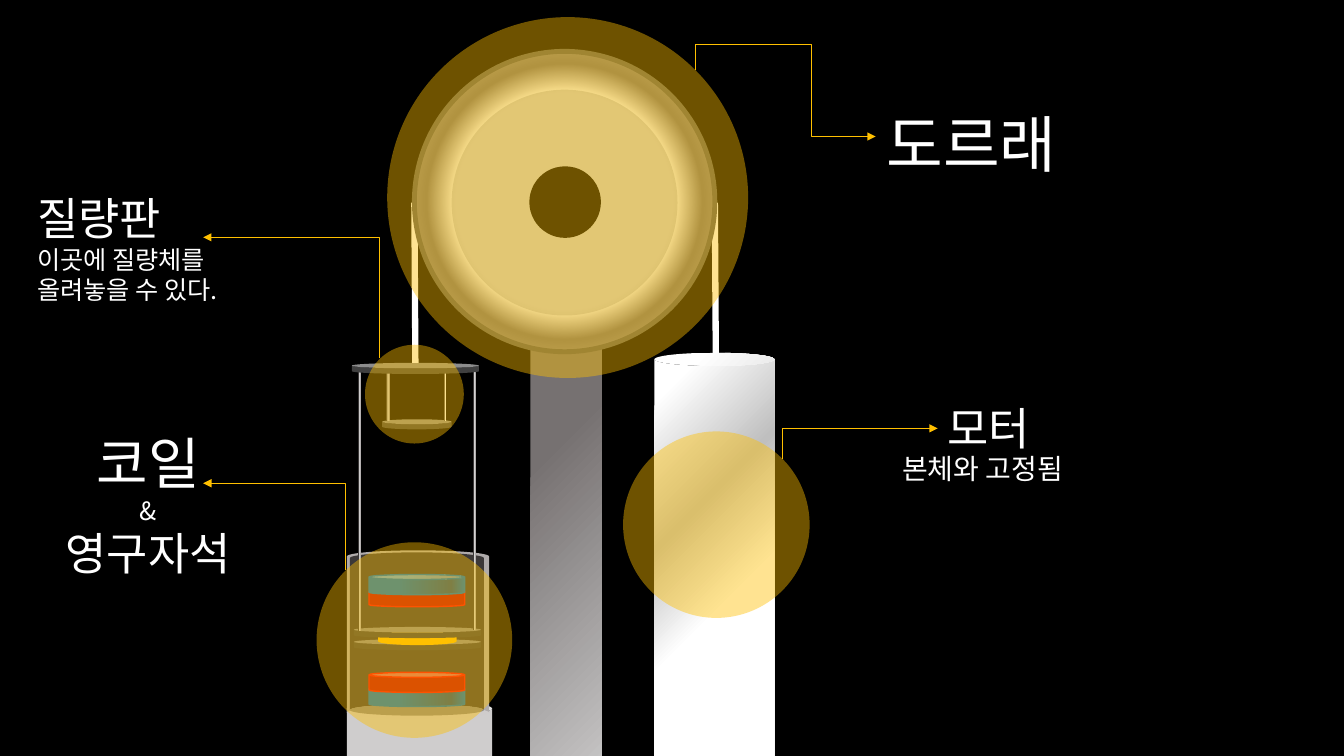
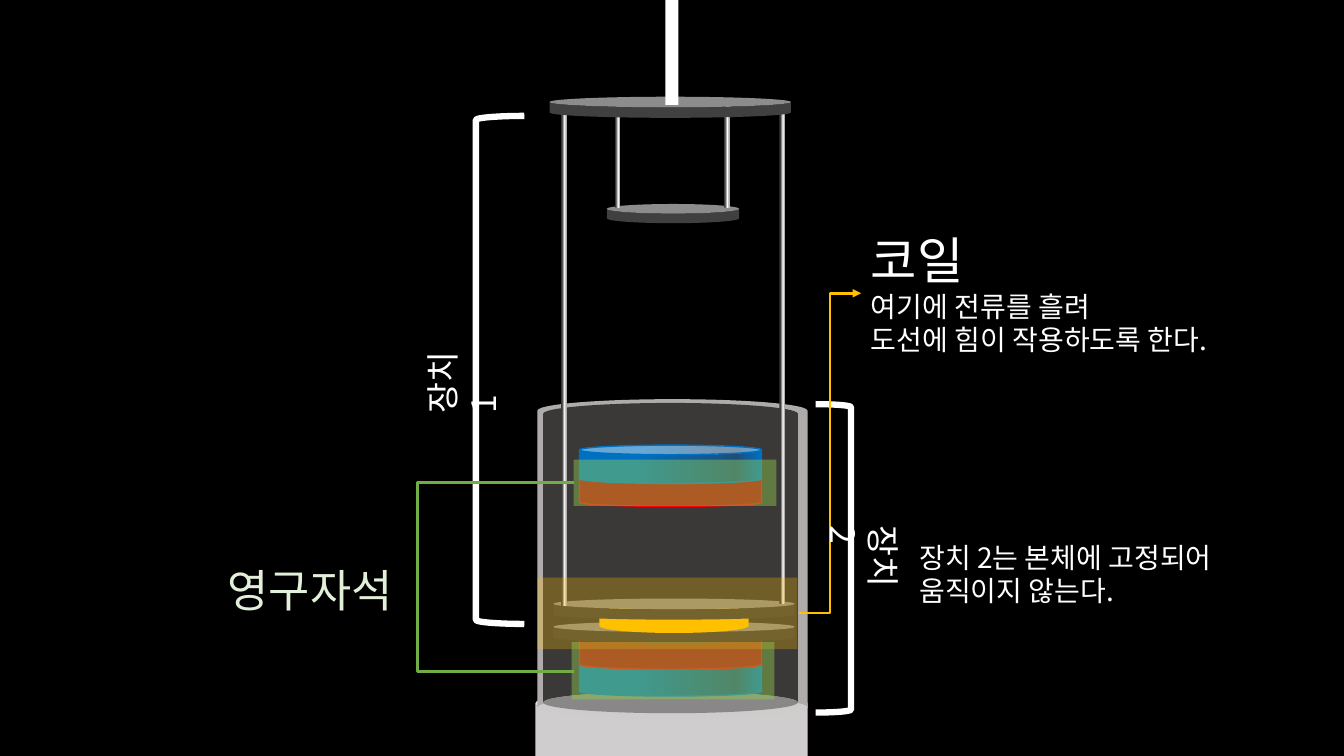
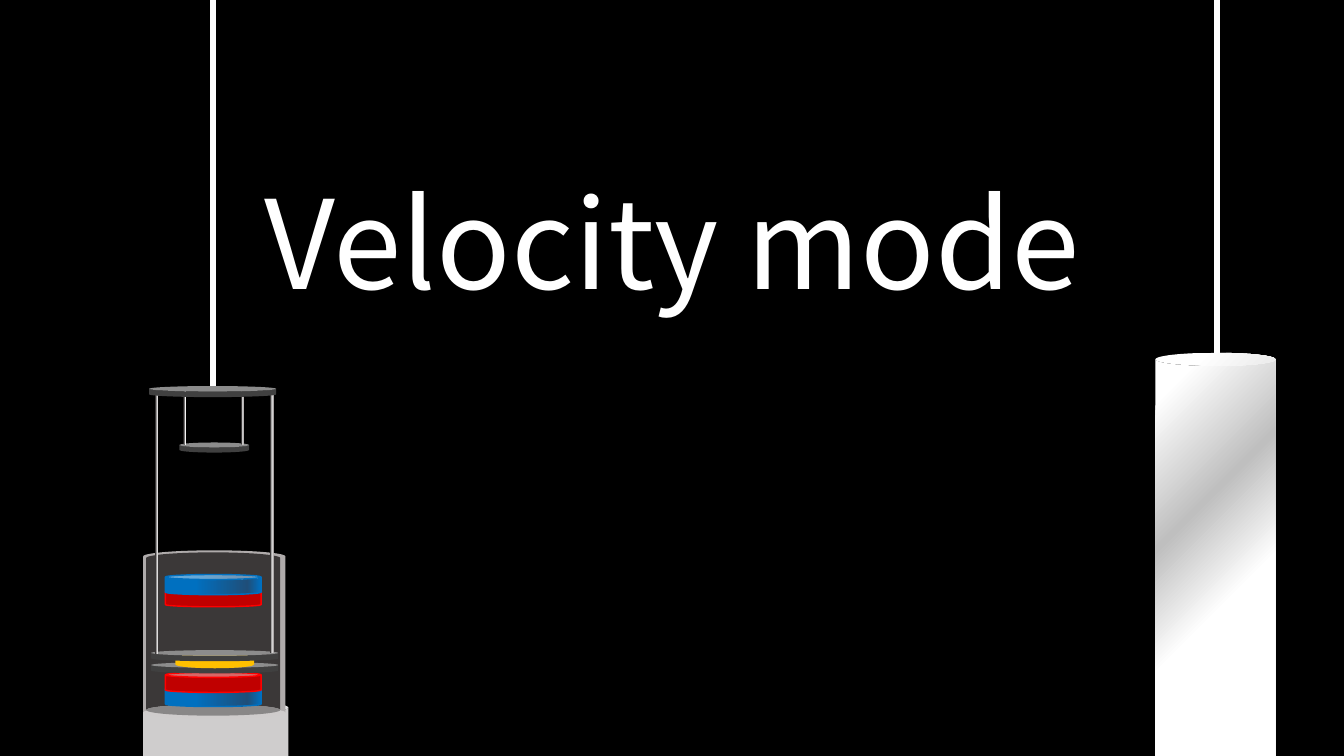
from pptx import Presentation
from pptx.dml.color import RGBColor
from pptx.enum import shapes as sh, text as tx
from pptx.oxml import parse_xml
from pptx.oxml.ns import qn
from pptx.util import Inches, Pt
from lxml import etree

FONT = "Noto Sans CJK KR"
NS = 'xmlns:a="http://schemas.openxmlformats.org/drawingml/2006/main"'
COLORS = {
    "black": "000000", "white": "FFFFFF", "gold": "FFC000", "body": "CFCDCD",
    "wall": "AFABAB", "inside": "3B3838", "plate": "404040", "silver": "BFBFBF",
    "light": "D9D9D9", "grey": "767171", "rim": "595959", "red": "C00000",
    "bright red": "FF0000", "blue": "0070C0", "navy": "1F4E79",
    "lime": "92D050", "green": "70AD47", "mint": "E2F0D9",
}
# Gradients: stops as (percent, colour), then the angle or None for a radial one
GRADIENTS = {
    "north": ([(31, "blue"), (86, "navy"), (100, "blue")], 0),
    "rod": ([(20, "inside"), (64, "white"), (88, "wall")], 0),
    "motor": ([(9, "white"), (37, "silver"), (60, "white")], 45),
    "pillar": ([(23, "grey"), (100, "light")], 45),
    "pulley": ([(51, "white"), (65, "grey"), (100, "light")], None),
}
KIND = sh.MSO_SHAPE
LEFT, CENTER = tx.PP_ALIGN.LEFT, tx.PP_ALIGN.CENTER


def part(slide, kind, box, fill=None, line=None, adj=None, alpha=None, flip=None):
    """Add a preset shape; fill is a colour or gradient name, line is (colour, points)."""
    shape = slide.shapes.add_shape(kind, *[Inches(v) for v in box])
    shape.shadow.inherit = False
    if adj is not None:
        shape.adjustments[0] = adj
    if flip:
        shape._element.spPr.find(qn("a:xfrm")).set(flip, "1")
    if fill in COLORS:
        shape.fill.solid()
        shape.fill.fore_color.rgb = RGBColor.from_string(COLORS[fill])
        if alpha:
            color = shape._element.spPr.find(qn("a:solidFill"))[0]
            etree.SubElement(color, qn("a:alpha")).set("val", str(alpha * 1000))
    else:
        shape.fill.background()
    if fill in GRADIENTS:
        stops, angle = GRADIENTS[fill]
        stop_xml = "".join(f'<a:gs pos="{pos * 1000}"><a:srgbClr val="{COLORS[c]}"/></a:gs>'
                           for pos, c in stops)
        if angle is None:
            course = ('<a:path path="circle"><a:fillToRect l="50000" t="50000" '
                      'r="50000" b="50000"/></a:path>')
        else:
            course = f'<a:lin ang="{angle * 60000}" scaled="0"/>'
        props = shape._element.spPr
        props.replace(props.find(qn("a:noFill")), parse_xml(
            f'<a:gradFill {NS} rotWithShape="1"><a:gsLst>{stop_xml}</a:gsLst>{course}</a:gradFill>'))
    if line:
        shape.line.color.rgb = RGBColor.from_string(COLORS[line[0]])
        shape.line.width = Pt(line[1])
    else:
        shape.line.fill.background()
    return shape


def label(slide, box, lines, align=LEFT, color="white", turn=0):
    """Add a text box with one paragraph for each (text, size)."""
    frame_box = slide.shapes.add_textbox(*[Inches(v) for v in box])
    frame_box.rotation = turn
    frame = frame_box.text_frame
    frame.word_wrap = bool(turn)
    if turn:
        frame.margin_right = Inches(0.2)
    else:
        frame.auto_size = tx.MSO_AUTO_SIZE.SHAPE_TO_FIT_TEXT
    frame.text = "\n".join(words for words, _ in lines)
    for paragraph, (_, size) in zip(frame.paragraphs, lines):
        paragraph.alignment = align
        for run in paragraph.runs:
            run.font.size = Pt(size)
            run.font.name = FONT
            run.font.color.rgb = RGBColor.from_string(COLORS[color])
            etree.SubElement(run.font._element, qn("a:ea")).set("typeface", FONT)


prs = Presentation()
prs.slide_width, prs.slide_height = Inches(13.33), Inches(7.5)
overview, device, velocity = [prs.slides.add_slide(prs.slide_layouts[6]) for _ in range(3)]
for slide in (overview, device, velocity):
    slide.background.fill.solid()
    slide.background.fill.fore_color.rgb = RGBColor.from_string(COLORS["black"])

# Parts of the device, measured from the top left of its container
RED_EDGE, BLUE_EDGE = ("bright red", 1), ("blue", 1)
CONTAINER = [
    ((0, 0, 1.41, 1.67), "wall", None, 0.085, "flipV"),
    ((0.03, 0.02, 1.33, 1.62), "inside", None, 0.085, "flipV"),
    ((0.22, 0.39, 0.95, 0.17), "red", RED_EDGE, 0.25, None),
    ((0.22, 0.24, 0.95, 0.2), "north", BLUE_EDGE, 0.25, None),
    ((0.22, 1.35, 0.95, 0.2), "north", BLUE_EDGE, 0.25, None),
    ((0.22, 1.21, 0.95, 0.2), "red", RED_EDGE, 0.25, None),
]
# Moving parts, measured from the top left of the hanging plate
HANGER = [
    ((0.02, 2.74, 1.26, 0.11), "plate", 0.5),
    ((0.26, 2.65, 0.78, 0.15), "gold", 0.5),
    ((0.02, 2.62, 1.26, 0.11), "plate", 0.5),
    ((1.2, 0.06, 0.03, 2.59), "rod", 0.25),
    ((0.06, 0.07, 0.03, 2.59), "rod", 0.25),
    ((0.3, 0.56, 0.69, 0.1), "plate", 0.5),
    ((0.34, 0.04, 0.03, 0.54), "rod", 0.25),
    ((0.91, 0.04, 0.03, 0.54), "rod", 0.25),
    ((0, 0, 1.26, 0.11), "plate", 0.5),
]
# Slide, scale, body box, container corner, hanger corner
for slide, scale, body, (cx, cy), (hx, hy) in [
    (overview, 1, (3.44, 6.95, 1.44, 4.13), (3.44, 5.46), (3.49, 3.6)),
    (device, 1.9, (5.31, 6.83, 2.7, 4.13), (5.33, 3.96), (5.45, 0.96)),
    (velocity, 1, (1.42, 6.95, 1.44, 1.27), (1.42, 5.46), (1.48, 3.83)),
]:
    part(slide, KIND.CAN, body, "body", adj=0.11)
    for (x, y, w, h), fill, line, adj, flip in CONTAINER:
        part(slide, KIND.CAN, (cx + x * scale, cy + y * scale, w * scale, h * scale),
             fill, line, adj, flip=flip)
    for (x, y, w, h), fill, adj in HANGER:
        part(slide, KIND.CAN, (hx + x * scale, hy + y * scale, w * scale, h * scale),
             fill, adj=adj)

# Ropes
for slide, x1, y1, x2, y2 in [
    (overview, 4.12, 3.6, 4.11, 2.01), (overview, 7.1, 3.6, 7.09, 2.01),
    (velocity, 2.11, 3.83, 2.11, 0), (velocity, 12.07, 3.6, 12.07, 0),
]:
    rope = slide.shapes.add_connector(sh.MSO_CONNECTOR.STRAIGHT, Inches(x1), Inches(y1),
                                      Inches(x2), Inches(y2))
    rope.line.color.rgb = RGBColor.from_string(COLORS["white"])
    rope.line.width = Pt(4.5)
    etree.SubElement(rope._element.spPr, qn("a:effectLst"))
part(device, KIND.RECTANGLE, (6.6, 0, 0.13, 1.04), "white")

# Pillar, pulley and motors
part(overview, KIND.RECTANGLE, (5.26, 3.29, 0.71, 5.21), "pillar")
part(overview, KIND.OVAL, (4.11, 0.51, 2.98, 2.98), "pulley", ("rim", 3.5))
part(overview, KIND.OVAL, (4.48, 0.89, 2.24, 2.24), "silver", alpha=78)
part(overview, KIND.OVAL, (5.25, 1.65, 0.71, 0.71), "black")
for slide, x in [(overview, 6.49), (velocity, 11.46)]:
    part(slide, KIND.CAN, (x, 3.5, 1.19, 4.13), "motor", adj=0.11)

# Gold spotlights: mass plate, coil, pulley, motor
for x, y, size in [(3.62, 3.42, 0.98), (3.14, 5.38, 1.94), (3.84, 0.17, 3.58), (6.18, 4.28, 1.85)]:
    part(overview, KIND.OVAL, (x, y, size, size), "gold", alpha=43)

# Brackets and highlights around the device
part(device, KIND.RIGHT_BRACKET, (8.09, 4.01, 0.35, 3.06), line=("white", 4.5))
part(device, KIND.RIGHT_BRACKET, (4.72, 1.15, 0.48, 5.04), line=("white", 4.5), flip="flipH")
part(device, KIND.RECTANGLE, (5.33, 5.73, 2.58, 0.71), "gold", alpha=28)
part(device, KIND.RECTANGLE, (5.69, 4.56, 2.01, 0.46), "lime", alpha=44)
part(device, KIND.RECTANGLE, (5.67, 6.37, 2.01, 0.57), "lime", alpha=44)
part(device, KIND.LEFT_BRACKET, (4.14, 4.79, 1.55, 1.87), line=("green", 2.25), adj=0)

# Elbow arrows: unturned box, turn, flips, bend preset, bend positions, width
for slide, (x, y, w, h), turn, flips, preset, bends, width in [
    (overview, (2.29, 2.08, 1.2, 1.75), 270, ["flipV"], "bentConnector2", [], 0.5),
    (overview, (2.29, 4.52, 0.86, 1.41), 270, ["flipV"], "bentConnector2", [], 0.5),
    (overview, (7.46, 0.13, 0.66, 1.79), 270, ["flipH"], "bentConnector4", [-38100, 64600], 0.5),
    (overview, (8.38, 3.63, 0.3, 1.54), 90, ["flipH", "flipV"], "bentConnector2", [], 0.5),
    (device, (7.92, 2.91, 0.62, 3.17), 0, ["flipV"], "bentConnector3", [50000], 1.75),
]:
    arrow = slide.shapes.add_connector(sh.MSO_CONNECTOR.ELBOW, Inches(x), Inches(y),
                                       Inches(x + w), Inches(y + h))
    arrow.line.color.rgb = RGBColor.from_string(COLORS["gold"])
    arrow.line.width = Pt(width)
    props = arrow._element.spPr
    frame = props.find(qn("a:xfrm"))
    frame.set("rot", str(turn * 60000))
    for flip in flips:
        frame.set(flip, "1")
    geometry = props.find(qn("a:prstGeom"))
    geometry.set("prst", preset)
    for number, bend in enumerate(bends, 1):
        guide = etree.SubElement(geometry.find(qn("a:avLst")), qn("a:gd"))
        guide.set("name", f"adj{number}")
        guide.set("fmla", f"val {bend}")
    etree.SubElement(props.find(qn("a:ln")), qn("a:tailEnd")).set("type", "triangle")
    etree.SubElement(props, qn("a:effectLst"))

# Labels of the overview
label(overview, (9.3, 3.93, 1.03, 0.64), [("모터", 32)])
label(overview, (8.85, 4.43, 1.86, 0.44), [("본체와 고정됨", 20)])
label(overview, (0.54, 4.2, 1.86, 1.62), [("코일", 40), ("&", 18), ("영구자석", 32)], CENTER)
label(overview, (0.27, 1.84, 2.1, 1.25),
      [("질량판", 32), ("이곳에 질량체를", 18), ("올려놓을 수 있다.", 18)])
label(overview, (8.68, 1, 1.91, 0.84), [("도르래", 44)], CENTER)

# Labels of the device
label(device, (8.24, 5.4, 1.06, 0.5), [("장치2", 24)], turn=90)
label(device, (3.86, 3.42, 1.06, 0.5), [("장치1", 24)], turn=270)
label(device, (8.54, 2.22, 3.72, 1.38),
      [("코일", 36), ("여기에 전류를 흘려", 20), ("도선에 힘이 작용하도록 한다.", 20)])
label(device, (2.16, 5.53, 1.86, 0.64), [("영구자석", 32)], color="mint")
label(device, (9.02, 5.31, 3.36, 0.77),
      [("장치 2는 본체에 고정되어", 20), ("움직이지 않는다.", 20)])

# Title of the velocity slide
label(velocity, (2.02, 1.6, 9.29, 1.58), [("Velocity mode", 88)], CENTER)

prs.save("out.pptx")
